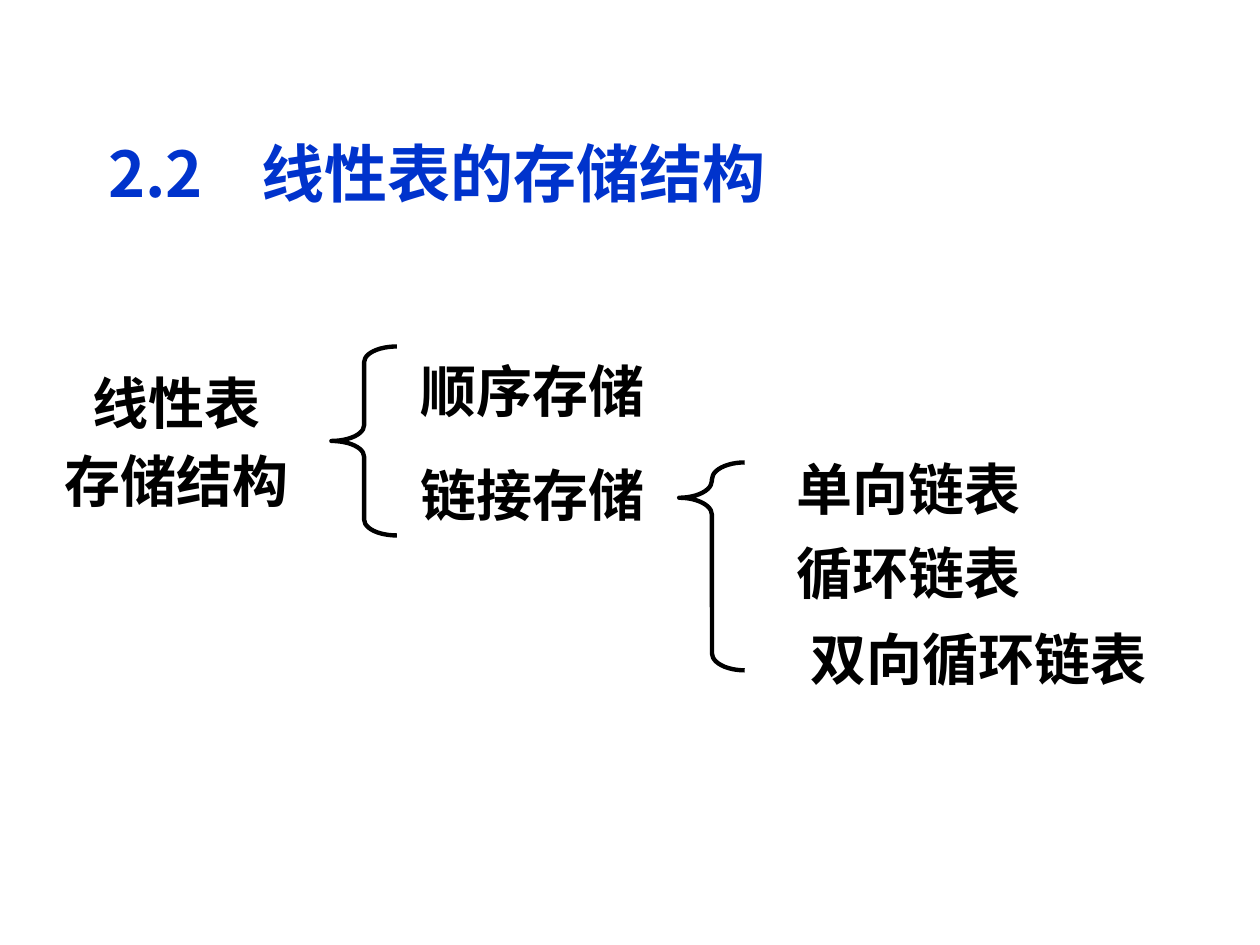
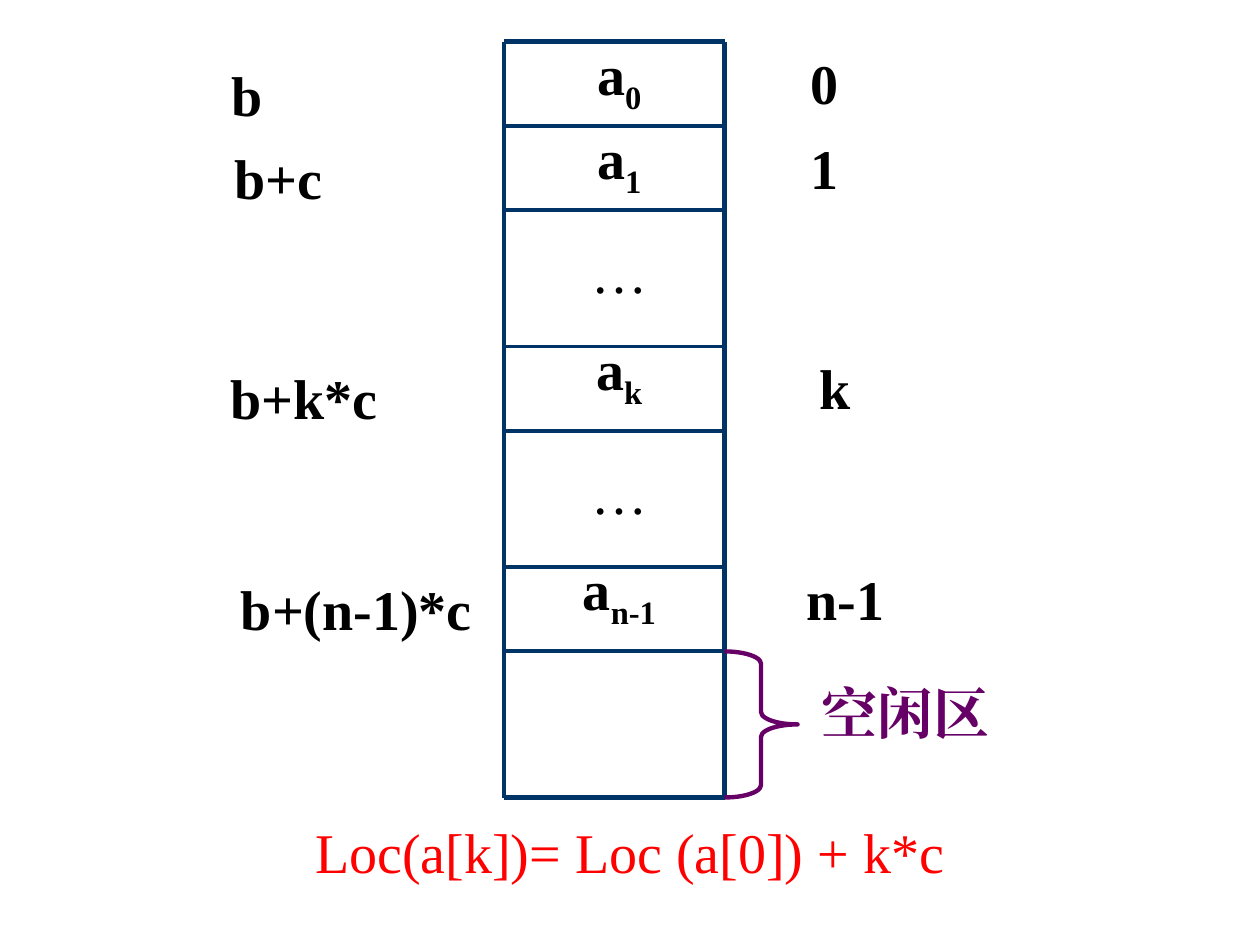
"""Build two slides on the storage structures of linear lists."""
import pptx
import pptx.dml.color
import pptx.enum.shapes
import pptx.enum.text
import pptx.oxml.ns
import pptx.util
from lxml import etree

Inches, Pt = pptx.util.Inches, pptx.util.Pt
RGBColor = pptx.dml.color.RGBColor
MSO_SHAPE = pptx.enum.shapes.MSO_SHAPE
LEFT, CENTER = pptx.enum.text.PP_ALIGN.LEFT, pptx.enum.text.PP_ALIGN.CENTER
qn = pptx.oxml.ns.qn

BLACK = RGBColor(0x00, 0x00, 0x00)
TITLE_BLUE = RGBColor(0x00, 0x33, 0xCC)
GRID_BLUE = RGBColor(0x00, 0x33, 0x66)
PURPLE = RGBColor(0x66, 0x00, 0x66)
RED = RGBColor(0xFF, 0x00, 0x00)
CHINESE, LATIN = "Noto Sans CJK SC", "Times New Roman"

SLIDE_WIDTH, SLIDE_HEIGHT = 10, 7.5
LINE_HEIGHT = 39
LABEL_HEIGHT = 0.64

TITLE = "2.2\t线性表的存储结构"
TITLE_TAB = 1.22
STORAGE_LABELS = [
    (["线性表", "存储结构"], 0.27, 2.87, 2.26, CENTER, 5.6),
    (["顺序存储", "链接存储"], 3.24, 2.77, 2.08, LEFT, 20.4),
    (["单向链表"], 6.08, 3.55, 2.26, CENTER, 0),
    (["循环链表"], 6.08, 4.22, 2.26, CENTER, 0),
    (["双向循环链表"], 6.16, 4.9, 3.21, CENTER, 0),
]
STORAGE_BRACES = [
    ((2.63, 2.75, 0.52, 1.5), (0.24, 0.5)),
    ((5.39, 3.67, 0.52, 1.65), (0.26, 0.17)),
]

GRID_LEFT, GRID_RIGHT, GRID_TOP = 4, 5.75, 0.33
ROW_HEIGHTS = [0.67, 0.67, 1.08, 0.67, 1.08, 0.67, 1.16]
CELLS = [
    ("a", "0", 0.33), ("a", "1", 1), ("…", "", 1.83),
    ("a", "k", 2.67), ("…", "", 3.58), ("a", "n-1", 4.42),
]
ADDRESSES = [
    ("b", 1.5, 0.42, 0.92), ("b+c", 1.75, 1.08, 0.92),
    ("b+k*c", 1.33, 2.83, 2.17), ("b+(n-1)*c", 1.58, 4.5, 2.5),
]
INDEXES = [("0", 6.08, 0.33), ("1", 6.08, 1), ("k", 6.17, 2.75), ("n-1", 6.25, 4.42)]
FREE_AREA = "空闲区"
FORMULA = "Loc(a[k])= Loc (a[0]) + k*c"


def add_label(slide, lines, left, top, width, align=CENTER, gap=0, font=LATIN,
              color=BLACK, size=32, bold=True, subscript="", tab=None):
    height = LABEL_HEIGHT + (len(lines) - 1) * (LINE_HEIGHT + gap) / 72
    box = slide.shapes.add_textbox(Inches(left), Inches(top), Inches(width), Inches(height))
    frame = box.text_frame
    frame.word_wrap = True
    for number, line in enumerate(lines):
        paragraph = frame.add_paragraph() if number else frame.paragraphs[0]
        paragraph.add_run().text = line
        if subscript:
            run = paragraph.add_run()
            run.text = subscript
            run._r.get_or_add_rPr().set("baseline", "-25000")
        paragraph.alignment = align
        paragraph.line_spacing = Pt(LINE_HEIGHT)
        if number:
            paragraph.space_before = Pt(gap)
        if tab:
            tabs = etree.SubElement(paragraph._p.get_or_add_pPr(), qn("a:tabLst"))
            etree.SubElement(tabs, qn("a:tab"), pos=str(Inches(tab)), algn="l")
        paragraph.font.size = Pt(size)
        paragraph.font.bold = bold
        paragraph.font.color.rgb = color
        paragraph.font.name = font
        etree.SubElement(paragraph.font._rPr, qn("a:ea"), typeface=font)


def add_brace(slide, kind, box, adjustments, color):
    brace = slide.shapes.add_shape(kind, *map(Inches, box))
    brace.shadow.inherit = False
    brace.fill.background()
    brace.line.color.rgb = color
    brace.line.width = Pt(2.5)
    for number, value in enumerate(adjustments):
        brace.adjustments[number] = value


def add_line(slide, x1, y1, x2, y2, width):
    line = slide.shapes.add_connector(
        pptx.enum.shapes.MSO_CONNECTOR.STRAIGHT, *map(Inches, (x1, y1, x2, y2)))
    line.line.color.rgb = GRID_BLUE
    line.line.width = Pt(width)
    etree.SubElement(line._element.spPr, qn("a:effectLst"))


def build_storage_slide(slide):
    add_label(slide, [TITLE], 0.76, 1.08, 8, LEFT, font=CHINESE,
              color=TITLE_BLUE, size=36, tab=TITLE_TAB)
    for label in STORAGE_LABELS:
        add_label(slide, *label, font=CHINESE)
    for box, adjustments in STORAGE_BRACES:
        add_brace(slide, MSO_SHAPE.LEFT_BRACE, box, adjustments, BLACK)


def build_address_slide(slide):
    edges = [GRID_TOP + sum(ROW_HEIGHTS[:row]) for row in range(len(ROW_HEIGHTS) + 1)]
    for edge in edges:
        outer = edge in (edges[0], edges[-1])
        add_line(slide, GRID_LEFT, edge, GRID_RIGHT, edge, 2.5 if outer else 2.25)
    for side in (GRID_LEFT, GRID_RIGHT):
        add_line(slide, side, edges[0], side, edges[-1], 2.5)
    for text, subscript, top in CELLS:
        add_label(slide, [text], 4.33, top, 1.17, subscript=subscript, bold=bool(subscript))
    for text, left, top, width in ADDRESSES:
        add_label(slide, [text], left, top, width)
    for text, left, top in INDEXES:
        add_label(slide, [text], left, top, 0.92)
    add_brace(slide, MSO_SHAPE.RIGHT_BRACE,
              (GRID_RIGHT, edges[-2], 0.58, ROW_HEIGHTS[-1]), (0.17, 0.5), PURPLE)
    add_label(slide, [FREE_AREA], 6.42, 5.33, 1.92, LEFT, color=PURPLE)
    add_label(slide, [FORMULA], 0, 6.43, SLIDE_WIDTH, color=RED, bold=False)


def main():
    presentation = pptx.Presentation()
    presentation.slide_width = Inches(SLIDE_WIDTH)
    presentation.slide_height = Inches(SLIDE_HEIGHT)
    for build in (build_storage_slide, build_address_slide):
        build(presentation.slides.add_slide(presentation.slide_layouts[6]))
    presentation.save("out.pptx")


if __name__ == "__main__":
    main()
